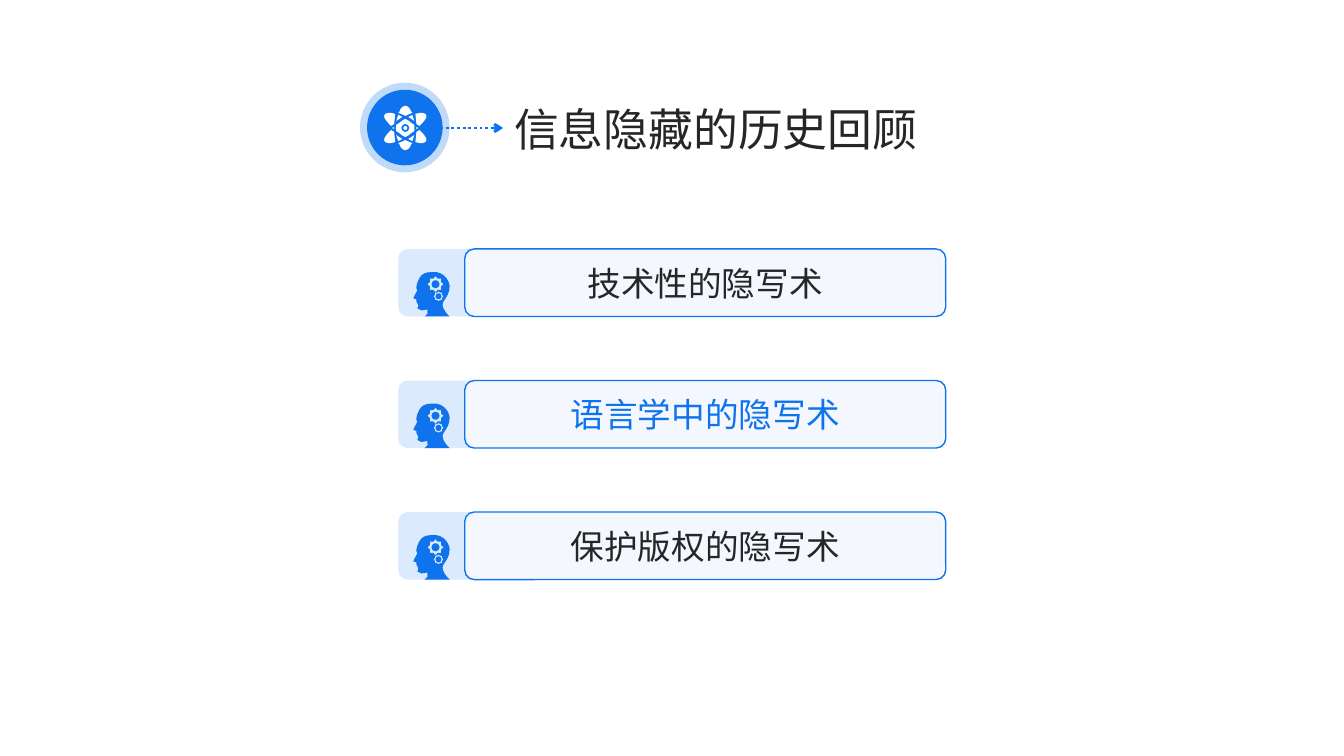
from dataclasses import dataclass
from math import cos, dist, pi, sin

from lxml import etree
from pptx import Presentation
from pptx.dml.color import RGBColor
from pptx.enum.dml import MSO_LINE
from pptx.enum.shapes import MSO_CONNECTOR, MSO_SHAPE
from pptx.enum.text import MSO_ANCHOR, MSO_AUTO_SIZE, PP_ALIGN
from pptx.oxml.ns import qn
from pptx.shapes.autoshape import Shape
from pptx.shapes.shapetree import GroupShapes, SlideShapes
from pptx.text.text import TextFrame
from pptx.util import Inches, Pt

ELLIPSE = MSO_SHAPE.OVAL
ROUNDED = MSO_SHAPE.ROUNDED_RECTANGLE
STRAIGHT = MSO_CONNECTOR.STRAIGHT
DOTTED = MSO_LINE.ROUND_DOT
MIDDLE = MSO_ANCHOR.MIDDLE
CENTER = PP_ALIGN.CENTER
LEFT = PP_ALIGN.LEFT
FIT_SHAPE = MSO_AUTO_SIZE.SHAPE_TO_FIT_TEXT

BLUE, DARK, WHITE = "0F73EE", "262626", "FFFFFF"
SANS, SERIF = "Noto Sans CJK SC", "Times New Roman"

Point = tuple[float, float]
Contour = list[Point]
Shapes = SlideShapes | GroupShapes


@dataclass(frozen=True)
class Topic:
    title: str
    color: str = DARK


TOPICS = [
    Topic("技术性的隐写术"),
    Topic("语言学中的隐写术", BLUE),
    Topic("保护版权的隐写术"),
]
FIRST_TOP, LAST_TOP = 2.47, 5.08
BAR_HEIGHT = 0.67
CURVE_STEP = 0.03
UNITS_PER_INCH = 1000

# Cubic curves in hundredths of an inch: a start point, then three points per curve.
HEAD = """17,0 19,0 21,0 23,0 31,1 36,9 36,14 36,24 29,28 29,32 29,38 36,44 36,44
36,44 11,44 11,44 11,44 16,42 14,37 13,37 10,38 8,38 6,38 5,37 4,36 4,35 5,33 5,33
4,32 3,31 3,29 4,28 3,27 3,27 3,27 1,27 0,26 0,25 4,18 4,18 4,18 3,17 3,16
3,15 3,11 6,6 8,2 12,0 17,0"""
ATOM_TOP_TIP = """0,-22 2,-22 5,-20 6,-16 6,-16 6,-15 7,-15 4,-14 2,-13 0,-12
-2,-13 -4,-14 -7,-15 -6,-15 -6,-16 -6,-16 -5,-20 -2,-22 0,-22"""
ATOM_SIDE_TIP = """17,-15 18,-15 19,-15 20,-14 21,-14 21,-13 21,-12 21,-9 18,-6 14,-2
13,-3 12,-4 11,-4 11,-8 10,-11 10,-14 13,-15 15,-15 17,-15"""
ATOM_SLIVER = "7,-13 8,-11 8,-9 9,-7 6,-9 4,-10 3,-11 4,-11 6,-12 7,-13"
ATOM_CORE = """0,-9 2,-8 4,-7 6,-5 7,-5 8,-4 9,-3 9,-2 9,2 9,3 8,4 7,5 6,5 4,7 2,8 0,9
-2,8 -4,7 -6,5 -7,5 -8,4 -9,3 -9,2 -9,-2 -9,-3 -8,-4 -7,-5 -6,-5 -4,-7 -2,-8 0,-9"""
ATOM_SIDE_GAP = [(0.11, -0.01), (0.13, 0), (0.11, 0.01)]


def curve(data: str) -> Contour:
    """Turn cubic curve data into a contour in inches, with more points on long curves."""
    points = [tuple(float(n) / 100 for n in pair.split(",")) for pair in data.split()]
    contour = [points[0]]
    for i in range(0, len(points) - 1, 3):
        a, b, c, d = points[i:i + 4]
        steps = max(1, round(dist(a, d) / CURVE_STEP))
        for step in range(1, steps + 1):
            t = step / steps
            u = 1 - t
            contour.append(tuple(
                u**3 * a[k] + 3 * u * u * t * b[k] + 3 * u * t * t * c[k] + t**3 * d[k]
                for k in (0, 1)))
    return contour[:-1]


def mirrored(contour: Contour, x_signs: tuple, y_signs: tuple) -> list[Contour]:
    return [[(x * sx, y * sy) for x, y in contour] for sx in x_signs for sy in y_signs]


def ring(center: Point, radii: list[float]) -> Contour:
    """Place one point per radius, evenly spread around the center."""
    turn = 2 * pi / len(radii)
    return [(center[0] + r * cos(i * turn), center[1] + r * sin(i * turn))
            for i, r in enumerate(radii)]


def gear(center: Point, outer: float, root: float, hole: float) -> list[Contour]:
    return [ring(center, [outer, root] * 8), ring(center, [hole] * 10)]


def atom_contours() -> list[Contour]:
    both, one = (1, -1), (1,)
    return [
        *mirrored(curve(ATOM_TOP_TIP), one, both),
        *mirrored(curve(ATOM_SIDE_TIP), both, both),
        *mirrored(curve(ATOM_SLIVER), both, both),
        *mirrored(ATOM_SIDE_GAP, both, one),
        curve(ATOM_CORE),
        ring((0, 0), [0.04] * 10),
        ring((0, 0), [0.02] * 8),
    ]


def head_contours() -> list[Contour]:
    return [
        curve(HEAD),
        *gear((0.22, 0.12), 0.08, 0.06, 0.04),
        *gear((0.25, 0.24), 0.05, 0.04, 0.03),
    ]


def rgb(color: str) -> RGBColor:
    return RGBColor.from_string(color)


def set_alpha(parent: etree._Element, percent: int) -> None:
    color = next(parent.iter(qn("a:srgbClr")))
    etree.SubElement(color, qn("a:alpha")).set("val", str(percent * 1000))


def style(shape: Shape, fill: str, alpha: int = 100, line: str = "",
          width: float = 1) -> None:
    shape.shadow.inherit = False
    shape.fill.solid()
    shape.fill.fore_color.rgb = rgb(fill)
    if alpha < 100:
        set_alpha(shape._element.spPr.find(qn("a:solidFill")), alpha)
    if line:
        shape.line.color.rgb = rgb(line)
        shape.line.width = Pt(width)
    else:
        shape.line.fill.background()


def draw_icon(shapes: Shapes, contours: list[Contour], left: float, top: float,
              fill: str) -> None:
    scaled = [[(x * UNITS_PER_INCH, y * UNITS_PER_INCH) for x, y in contour]
              for contour in contours]
    builder = shapes.build_freeform(*scaled[0][0], scale=Inches(1) / UNITS_PER_INCH)
    for index, contour in enumerate(scaled):
        if index:
            builder.move_to(*contour[0])
        builder.add_line_segments(contour[1:], close=True)
    style(builder.convert_to_shape(Inches(left), Inches(top)), fill)


def write(frame: TextFrame, text: str, size: int, font: str, color: str,
          align: PP_ALIGN) -> None:
    paragraph = frame.paragraphs[0]
    paragraph.alignment = align
    run = paragraph.add_run()
    run.text = text
    run.font.size = Pt(size)
    run.font.color.rgb = rgb(color)
    run.font.name = font
    east_asian = etree.SubElement(run.font._element, qn("a:ea"))
    east_asian.set("typeface", SANS)


def draw_bar(shapes: Shapes, left: float, top: float, width: float) -> Shape:
    bar = shapes.add_shape(ROUNDED, Inches(left), Inches(top), Inches(width),
                           Inches(BAR_HEIGHT))
    bar.adjustments[0] = 0.14
    return bar


def draw_header(shapes: Shapes) -> None:
    badge = shapes.add_shape(ELLIPSE, Inches(3.64), Inches(0.89), Inches(0.75), Inches(0.75))
    style(badge, BLUE, line=BLUE, width=10)
    set_alpha(badge._element.spPr.find(qn("a:ln")), 25)

    arrow = shapes.add_connector(STRAIGHT, Inches(4.31), Inches(1.27), Inches(4.99), Inches(1.27))
    arrow.line.color.rgb = rgb(BLUE)
    arrow.line.width = Pt(2)
    arrow.line.dash_style = DOTTED
    properties = arrow._element.spPr
    etree.SubElement(properties.find(qn("a:ln")), qn("a:tailEnd")).set("type", "arrow")
    etree.SubElement(properties, qn("a:effectLst"))

    draw_icon(shapes, atom_contours(), 4.02, 1.27, WHITE)
    heading = shapes.add_textbox(Inches(5), Inches(0.96), Inches(4.24), Inches(0.64)).text_frame
    heading.word_wrap = False
    heading.auto_size = FIT_SHAPE
    write(heading, "信息隐藏的历史回顾", 32, SANS, DARK, LEFT)


def draw_topic(shapes: Shapes, topic: Topic, top: float) -> None:
    members = shapes.add_group_shape().shapes
    style(draw_bar(members, 3.95, top, 5.41), BLUE, alpha=15)
    draw_icon(members, head_contours(), 4.1, top + 0.23, BLUE)
    label = draw_bar(members, 4.61, top, 4.77)
    style(label, WHITE, alpha=70, line=BLUE)
    label.text_frame.vertical_anchor = MIDDLE
    write(label.text_frame, topic.title, 24, SERIF, topic.color, CENTER)


def main() -> None:
    deck = Presentation()
    deck.slide_width, deck.slide_height = Inches(13.33), Inches(7.5)
    shapes = deck.slides.add_slide(deck.slide_layouts[6]).shapes
    draw_header(shapes)
    pitch = (LAST_TOP - FIRST_TOP) / (len(TOPICS) - 1)
    for index, topic in enumerate(TOPICS):
        draw_topic(shapes, topic, FIRST_TOP + index * pitch)
    deck.save("out.pptx")


if __name__ == "__main__":
    main()
